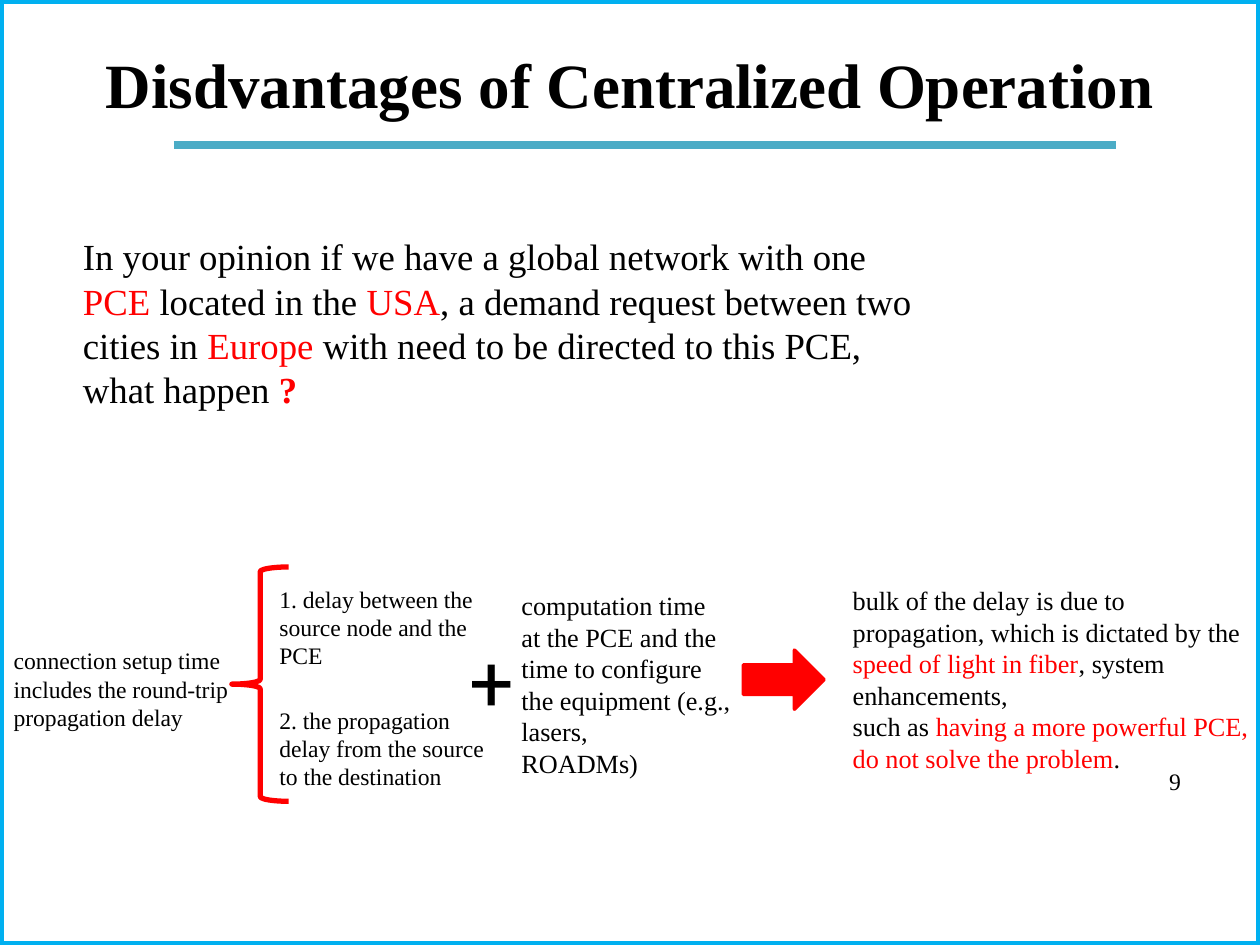
"""Build the slide on the delays of centralized operation."""
from lxml.etree import SubElement
from pptx import Presentation
from pptx.dml.color import RGBColor
from pptx.enum.shapes import MSO_CONNECTOR as Link, MSO_SHAPE as Kind
from pptx.enum.text import MSO_ANCHOR as Anchor, PP_ALIGN as Align
from pptx.oxml.ns import qn
from pptx.util import Pt

BLACK = RGBColor(0, 0, 0)
RED = RGBColor(0xFF, 0, 0)
SKY = RGBColor(0x00, 0xB0, 0xF0)
TEAL = RGBColor(0x4B, 0xAC, 0xC6)
SERIF = "Times New Roman"

deck = Presentation()
deck.slide_width, deck.slide_height = Pt(720), Pt(540)
slide = deck.slides.add_slide(deck.slide_layouts[6])
shapes = slide.shapes


def add_text(text, box, size=13.5, face=SERIF, align=Align.LEFT,
             anchor=Anchor.TOP, bold=False):
    """Add a text box; parts between bars are red."""
    frame = shapes.add_textbox(*map(Pt, box)).text_frame
    frame.word_wrap = True
    frame.vertical_anchor = anchor
    for i, line in enumerate(text.split("\n")):
        para = frame.add_paragraph() if i else frame.paragraphs[0]
        para.alignment = align
        for j, part in enumerate(line.split("|")):
            if part:
                run = para.add_run()
                run.text = part
                font = run.font
                font.name, font.size = face, Pt(size)
                font.bold = bold or part == "?"
                font.color.rgb = RED if j % 2 else BLACK


def add_form(kind, box, color, width, fill=None):
    """Add an outlined preset shape."""
    form = shapes.add_shape(kind, *map(Pt, box))
    form.shadow.inherit = False
    form.line.color.rgb, form.line.width = color, Pt(width)
    if fill is None:
        form.fill.background()
    else:
        form.fill.solid()
        form.fill.fore_color.rgb = fill


add_form(Kind.RECTANGLE, (0, 0, 720, 540), SKY, 5)

rule = shapes.add_connector(Link.STRAIGHT, Pt(99.4), Pt(82.8), Pt(637.9), Pt(82.8))
rule.line.color.rgb, rule.line.width = TEAL, Pt(4.5)
SubElement(rule._element.spPr, qn("a:effectLst"))

add_text("Disdvantages of Centralized Operation", (36, 21.6, 648, 51.8), size=36,
         align=Align.CENTER, anchor=Anchor.MIDDLE, bold=True)
add_text("In your opinion if we have a global network with one |PCE| located in "
         "the |USA|, a demand request between two cities in |Europe| with need to "
         "be directed to this PCE, what happen |?", (40.3, 130.3, 493.2, 108.7), size=21)

add_text("connection setup time\nincludes the round-trip propagation delay",
         (0.7, 365.8, 145.4, 56.2))
add_form(Kind.LEFT_BRACE, (132.5, 324, 32.4, 133.9), RED, 3)
add_text("1. delay between the source node and the PCE", (152.6, 330.5, 126, 56.2))
add_text("2. the propagation delay from the source\nto the destination",
         (152.6, 399.6, 139, 56.2))
add_text("+", (258.5, 357.8, 44.6, 61.9), size=45, face="Roboto", align=Align.CENTER)
add_text("computation time at the PCE and the time to configure the equipment "
         "(e.g., lasers,\nROADMs)", (290.9, 333.4, 133.9, 116.6), size=15)
add_form(Kind.RIGHT_ARROW, (424.8, 371.5, 46.1, 33.8), RED, 2, fill=RED)
add_text("bulk of the delay is due to\n"
         "propagation, which is dictated by the |speed of light in fiber|, system "
         "enhancements,\n"
         "such as |having a more powerful PCE, do not solve the problem|.",
         (480.2, 330.5, 240.5, 116.6), size=15)
add_text("9", (661, 434.9, 44.6, 23.8))

deck.save("out.pptx")
